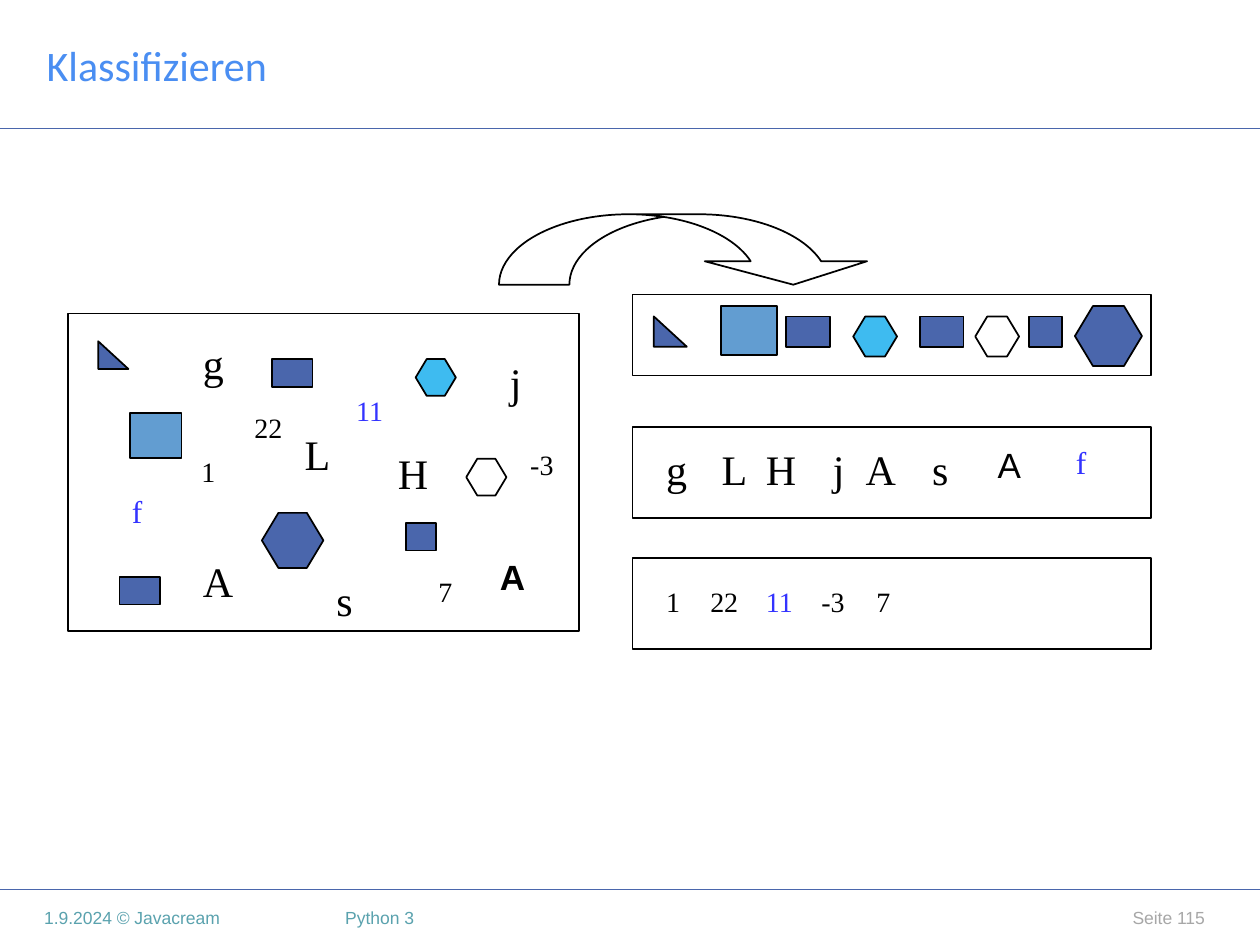
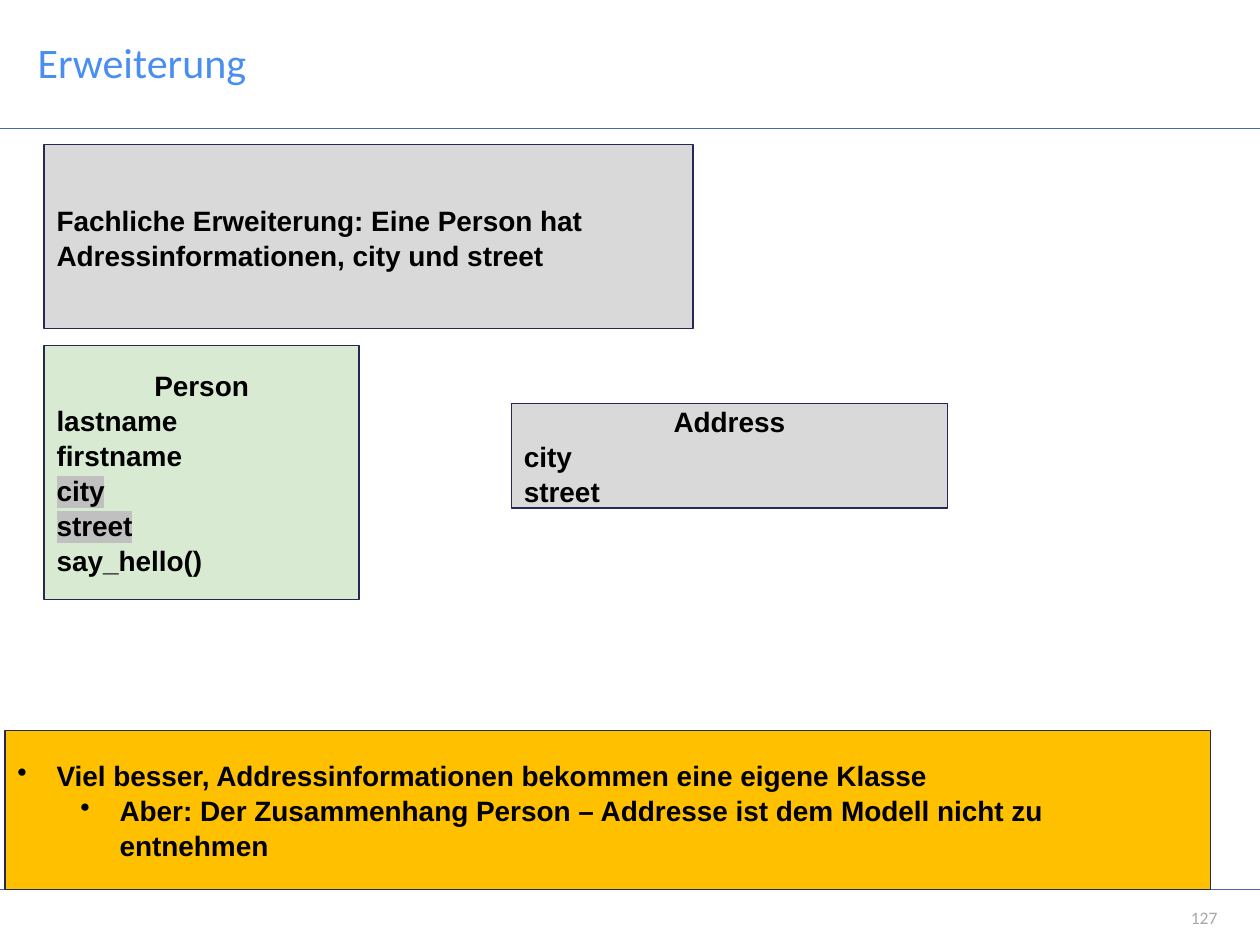
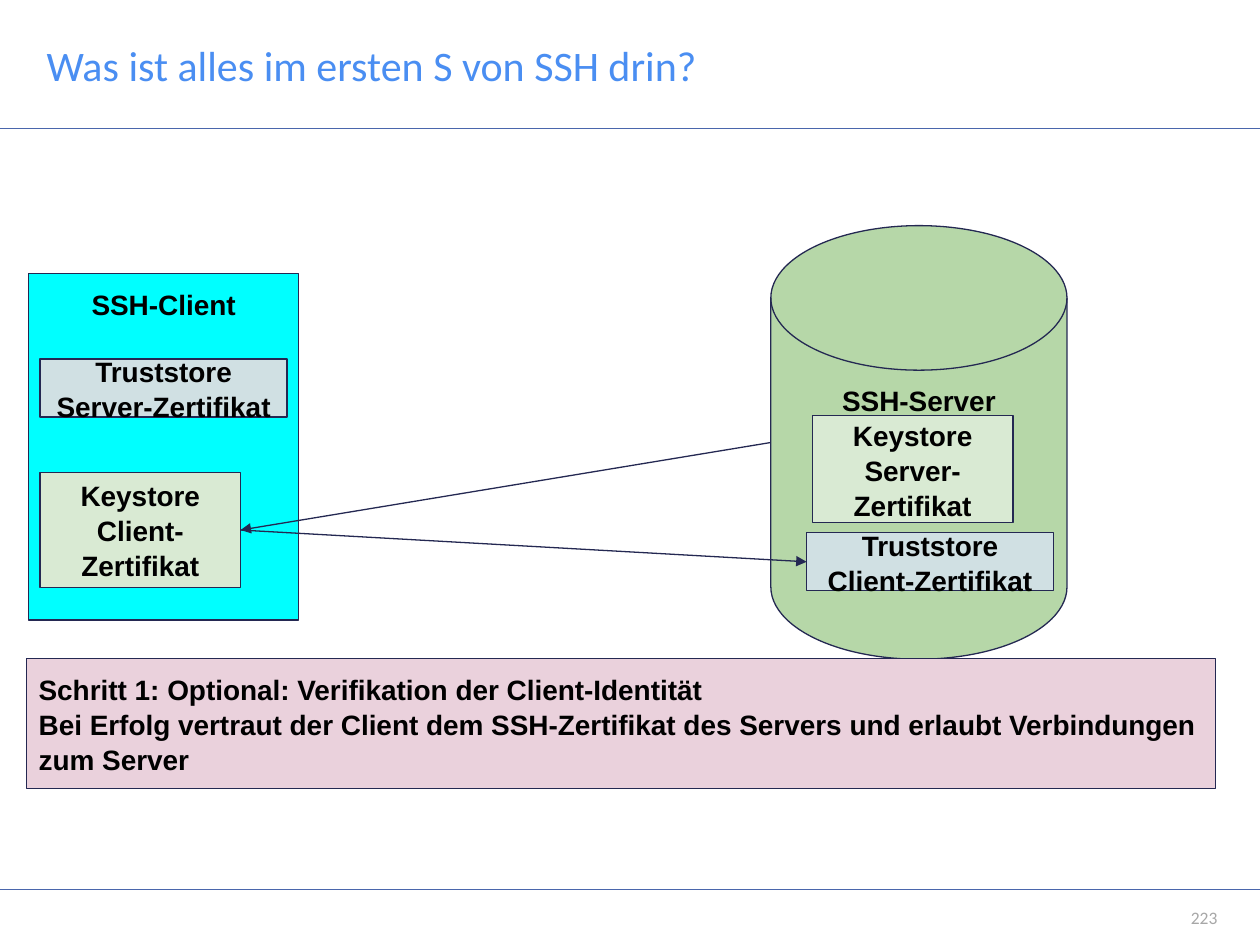
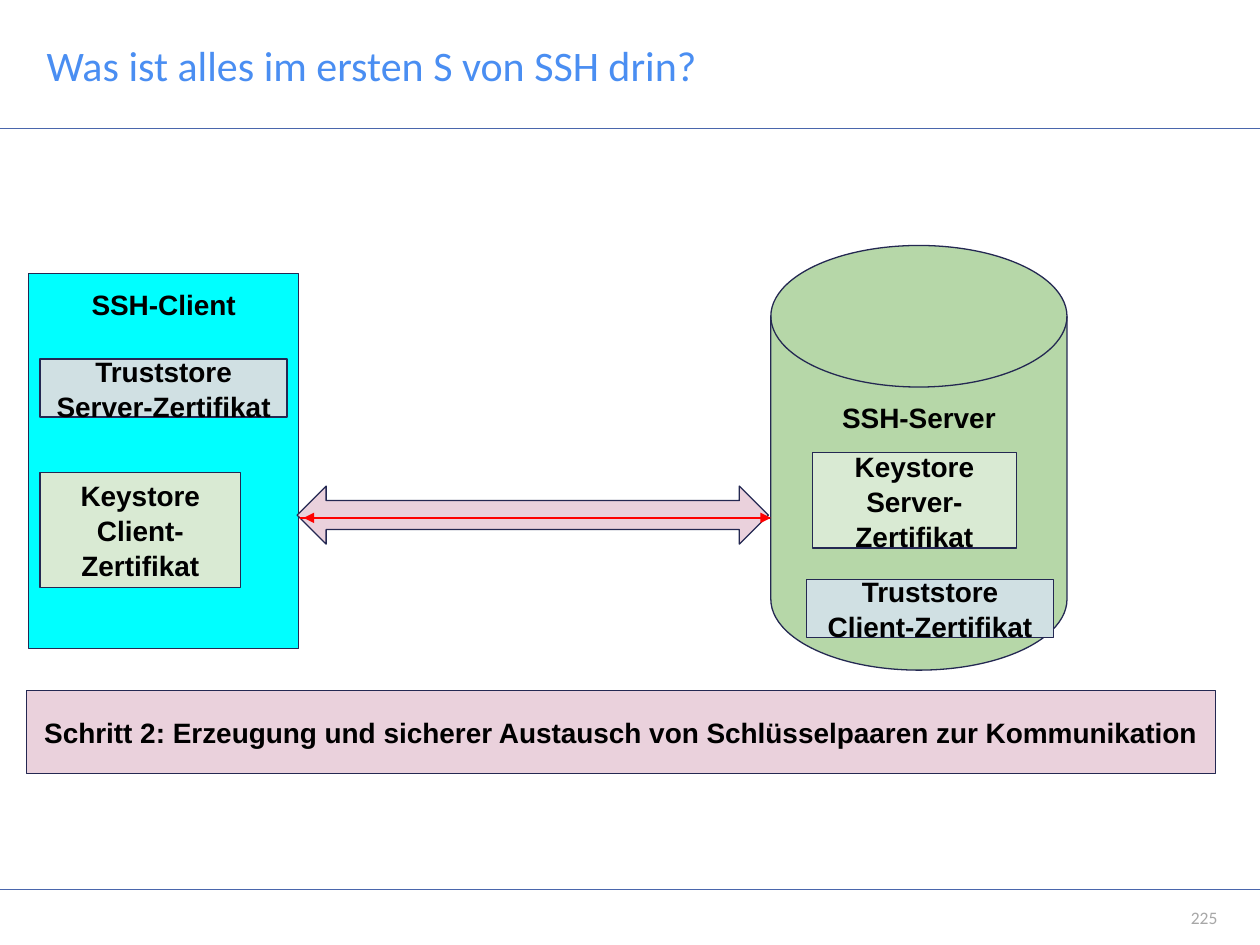
import lxml.etree
import pptx
import pptx.dml.color
import pptx.enum.shapes
import pptx.enum.text
import pptx.oxml.ns
import pptx.util

Cm, Pt = pptx.util.Cm, pptx.util.Pt
KIND = pptx.enum.shapes.MSO_SHAPE
LINE = pptx.enum.shapes.MSO_CONNECTOR.STRAIGHT
ALIGN = pptx.enum.text.PP_ALIGN
ANCHOR = pptx.enum.text.MSO_ANCHOR
qn = pptx.oxml.ns.qn

HUES = {
    "black": "000000", "ink": "242852", "rule": "4A66AC", "title": "4A8EF2",
    "teal": "5AA2AE", "page": "A7A7A7", "blue": "4A66AC", "mid": "629DD1",
    "sky": "3EBBF0", "text": "3333FF", "grey": "D9D9D9", "mark": "C0C0C0",
    "mint": "D9EAD3", "green": "B6D7A8", "amber": "FFC000", "cyan": "00FFFF",
    "mist": "D0E0E3", "rose": "EAD1DC", "red": "FF0000",
}
SANS, SERIF, HEAD = "Arial", "Times New Roman", "Calibri"
WIDE, HIGH = 25.4, 19.05
TOP, FOOT = 2.59, 17.93

FORMS = [
    (KIND.RIGHT_TRIANGLE, 0.61, 0.56, "blue", (1.98, 6.88), (13.18, 6.38)),
    (KIND.RECTANGLE, 1.04, 0.91, "mid", (2.62, 8.33), (14.53, 6.17)),
    (KIND.RECTANGLE, 0.81, 0.56, "blue", (5.49, 7.24), (15.85, 6.38)),
    (KIND.HEXAGON, 0.81, 0.74, "sky", (8.38, 7.24), (17.2, 6.38)),
    (KIND.RECTANGLE, 0.81, 0.56, "blue", (2.41, 11.63), (18.54, 6.38)),
    (KIND.HEXAGON, 0.81, 0.74, None, (9.4, 9.25), (19.66, 6.38)),
    (KIND.RECTANGLE, 0.61, 0.56, "blue", (8.18, 10.54), (20.75, 6.38)),
    (KIND.HEXAGON, 1.24, 1.11, "blue", (5.28, 10.34), (21.67, 6.17)),
]
CHARS = [
    ("g", 24, SERIF, "black", (3.84, 6.68), 13.18),
    ("L", 24, SERIF, "black", (5.89, 8.51), 14.3),
    ("H", 24, SERIF, "black", (7.77, 8.89), 15.19),
    ("j", 24, SERIF, "black", (10.03, 7.06), 16.54),
    ("A", 24, SERIF, "black", (3.84, 11.07), 17.2),
    ("s", 24, SERIF, "black", (6.53, 11.46), 18.54),
    ("A", 20, SANS, "black", (9.83, 11.07), 19.86),
    ("f", 18, SERIF, "text", (2.41, 9.8), 21.44),
]
NUMS = [
    ("1", "black", (3.81, 9.04), 13.18),
    ("22", "black", (4.88, 8.15), 14.07),
    ("11", "text", (6.93, 7.8), 15.19),
    ("-3", "black", (10.44, 8.89), 16.31),
    ("7", "black", (8.59, 11.46), 17.42),
]


def hue(name):
    """Return the named colour."""
    return pptx.dml.color.RGBColor.from_string(HUES[name])


def style(para, size, face, color, bold=False):
    """Set the font of a paragraph."""
    font = para.font
    font.size, font.name, font.bold = Pt(size), face, bold
    font.color.rgb = hue(color)


def pad(frame, side, top):
    """Set the insets of a text frame."""
    frame.margin_left = frame.margin_right = Cm(side)
    frame.margin_top = frame.margin_bottom = Cm(top)


def label(slide, box, text, size, face, color, side=0.25, align=ALIGN.LEFT):
    """Add one line of text, centred in height."""
    frame = slide.shapes.add_textbox(*map(Cm, box)).text_frame
    frame.word_wrap = True
    frame.vertical_anchor = ANCHOR.MIDDLE
    pad(frame, side, 0.1 if side else 0)
    para = frame.paragraphs[0]
    para.text, para.alignment = text, align
    style(para, size, face, color)


def glyph(slide, text, spot, wide, size, face, color, bold=False, wrap=True):
    """Add a letter or number as a text box sized to its font."""
    box = (*spot, wide, 0.25 + 0.0425 * size)
    frame = slide.shapes.add_textbox(*map(Cm, box)).text_frame
    frame.word_wrap = wrap
    para = frame.paragraphs[0]
    para.text = text
    style(para, size, face, color, bold)


def form(slide, kind, box, fill=None, line="black", width=1):
    """Add an outlined preset shape, with or without a fill."""
    shape = slide.shapes.add_shape(kind, *map(Cm, box))
    shape.shadow.inherit = False
    if fill:
        shape.fill.solid()
        shape.fill.fore_color.rgb = hue(fill)
    else:
        shape.fill.background()
    shape.line.color.rgb = hue(line)
    shape.line.width = Pt(width)
    if kind == KIND.HEXAGON:
        shape.adjustments[0] = 0.3
    return shape


def card(slide, box, fill, lines, align=ALIGN.CENTER, kind=KIND.RECTANGLE,
         anchor=ANCHOR.MIDDLE):
    """Add a filled shape with bold lines and return it."""
    shape = form(slide, kind, box, fill, "ink", 0.75)
    frame = shape.text_frame
    frame.word_wrap = True
    frame.vertical_anchor = anchor
    pad(frame, 0.25, 0.25)
    for i, text in enumerate(lines):
        para = frame.add_paragraph() if i else frame.paragraphs[0]
        para.text, para.alignment = text, align
        para.line_spacing = 1.04
        style(para, 16, SANS, "black", True)
    return shape


def entity(slide, box, fill, name, parts, marked=()):
    """Add a class card with a centred name and its members."""
    shape = card(slide, box, fill, [name, *parts], ALIGN.LEFT)
    paras = shape.text_frame.paragraphs
    paras[0].alignment = ALIGN.CENTER
    for para in paras:
        if para.text in marked:
            props = para.runs[0]._r.get_or_add_rPr()
            mark = lxml.etree.SubElement(props, qn("a:highlight"))
            lxml.etree.SubElement(mark, qn("a:srgbClr"), val=HUES["mark"])


def bullet(para, level):
    """Give a paragraph a hanging bullet."""
    para.level = level
    props = para._p.get_or_add_pPr()
    props.set("marL", str(Cm(0.79 + 1.27 * level)))
    props.set("indent", str(Cm(-0.79)))
    char = lxml.etree.Element(qn("a:buChar"), char="•")
    props.find(qn("a:defRPr")).addprevious(char)


def link(slide, start, end, color, width=0.75, head=True):
    """Add a straight line or arrow and return it."""
    line = slide.shapes.add_connector(LINE, *map(Cm, (*start, *end)))
    line.line.color.rgb = hue(color)
    line.line.width = Pt(width)
    props = line.element.spPr
    if head:
        stroke = props.find(qn("a:ln"))
        lxml.etree.SubElement(stroke, qn("a:tailEnd"), type="triangle")
    lxml.etree.SubElement(props, qn("a:effectLst"))
    return line


def base(deck, title, page, left=0.69, top=0, face=HEAD, side=0):
    """Add a slide with rules, title and page number."""
    slide = deck.slides.add_slide(deck.slide_layouts[6])
    for y in (FOOT, TOP):
        link(slide, (0, y), (WIDE, y), "rule", 1, False)
    label(slide, (left, top, 15.8, TOP), title, 24, HEAD, "title")
    label(slide, (22.23, FOOT, 2.31, 1.12), page, 10, face, "page", side,
          ALIGN.RIGHT)
    return slide


def sort(deck):
    """Build the slide that sorts a mixed pile into three trays."""
    slide = base(deck, "Klassifizieren", "Seite 115", face=SANS, side=0.25)
    label(slide, (0.89, FOOT, 5.59, 1.12), "1.9.2024 © Javacream", 10, SANS,
          "teal", 0)
    label(slide, (6.71, FOOT, 15.01, 1.12), "Python 3", 10, SANS, "teal")
    form(slide, KIND.RECTANGLE, (1.37, 6.32, 10.31, 6.4))
    for y, high in ((5.94, 1.63), (8.61, 1.83), (11.25, 1.83)):
        form(slide, KIND.RECTANGLE, (12.75, y, 10.46, high))
    arrow = form(slide, KIND.CURVED_DOWN_ARROW, (10.06, 4.32, 7.57, 1.42))
    for i, value in enumerate((1.152, 2.305, 0.333)):
        arrow.adjustments[i] = value
    for kind, wide, high, fill, pile, tray in FORMS:
        for spot, scale in ((pile, 1), (tray, 1.09)):
            form(slide, kind, (*spot, wide * scale, high * scale), fill)
    for text, size, face, color, pile, x in CHARS:
        glyph(slide, text, pile, 1.04, size, face, color, face == SANS)
        glyph(slide, text, (x, 8.81), 1.12, size, face, color)
    for text, color, pile, x in NUMS:
        for spot in (pile, (x, 11.66)):
            glyph(slide, text, spot, 0.51 + 0.28 * len(text), 16, SERIF,
                  color, wrap=False)


def extend(deck):
    """Build the slide on moving the address into its own class."""
    slide = base(deck, "Erweiterung", "127", 0.51, -0.05)
    parts = ["city", "street"]
    entity(slide, (0.89, 6.96, 6.35, 5.13), "mint", "Person",
           ["lastname", "firstname", *parts, "say_hello()"], parts)
    card(slide, (0.89, 2.92, 13.08, 3.71), "grey",
         ["Fachliche Erweiterung: Eine Person hat Adressinformationen, "
          "city und street"], ALIGN.LEFT)
    note = card(slide, (0.1, 14.73, 24.31, 3.2), "amber",
                ["Viel besser, Addressinformationen bekommen eine eigene "
                 "Klasse",
                 "Aber: Der Zusammenhang Person – Addresse ist dem Modell "
                 "nicht zu entnehmen"], ALIGN.LEFT)
    for level, para in enumerate(note.text_frame.paragraphs):
        bullet(para, level)
    entity(slide, (10.31, 8.13, 8.79, 2.11), "grey", "Address", parts)


def hosts(deck, page, high, disk, key, trust):
    """Build an SSH client and server; return slide and linked stores."""
    slide = base(deck, "Was ist alles im ersten S von SSH drin?", page)
    mine, theirs = "Client-Zertifikat", "Server-Zertifikat"
    card(slide, (15.54, disk[0], 5.97, disk[1]), "green", ["SSH-Server"],
         kind=KIND.FLOWCHART_MAGNETIC_DISK, anchor=ANCHOR.TOP)
    card(slide, (16.38, *key), "mint", ["Keystore", theirs])
    card(slide, (0.58, 5.51, 5.44, high), "cyan", ["SSH-Client"],
         anchor=ANCHOR.TOP)
    card(slide, (0.81, 7.24, 4.98, 1.17), "mist", ["Truststore", theirs])
    own = card(slide, (0.81, 9.53, 4.04, 2.31), "mint", ["Keystore", mine])
    peer = card(slide, (16.26, trust, 4.98, 1.17), "mist",
                ["Truststore", mine])
    return slide, own, peer


def verify(deck):
    """Build step one, the check of the client."""
    slide, own, peer = hosts(deck, "223", 6.99, (4.55, 8.74),
                             (8.38, 4.04, 2.16), 10.74)
    card(slide, (0.53, 13.28, 23.98, 2.62), "rose",
         ["Schritt 1: Optional: Verifikation der Client-Identität",
          "Bei Erfolg vertraut der Client dem SSH-Zertifikat des Servers "
          "und erlaubt Verbindungen zum Server"], ALIGN.LEFT)
    near, far = (4.85, 10.69), (16.26, 11.33)
    link(slide, (15.54, 8.92), near, "ink").end_connect(own, 3)
    line = link(slide, near, far, "ink")
    line.begin_connect(own, 3)
    line.end_connect(peer, 1)


def swap(deck):
    """Build step two, the exchange of keys."""
    slide = hosts(deck, "225", 7.57, (4.95, 8.56), (9.12, 4.11, 1.93),
                  11.68)[0]
    form(slide, KIND.LEFT_RIGHT_ARROW, (5.99, 9.8, 9.5, 1.17), "rose", "ink",
         0.75)
    for start, end in ((6.05, 15.54), (15.52, 6.12)):
        link(slide, (start, 10.44), (end, 10.44), "red")
    card(slide, (0.53, 13.92, 23.98, 1.68), "rose",
         ["Schritt 2: Erzeugung und sicherer Austausch von Schlüsselpaaren "
          "zur Kommunikation"])


def main():
    """Build and save the deck."""
    deck = pptx.Presentation()
    deck.slide_width, deck.slide_height = Cm(WIDE), Cm(HIGH)
    for build in (sort, extend, verify, swap):
        build(deck)
    deck.save("out.pptx")


if __name__ == "__main__":
    main()
